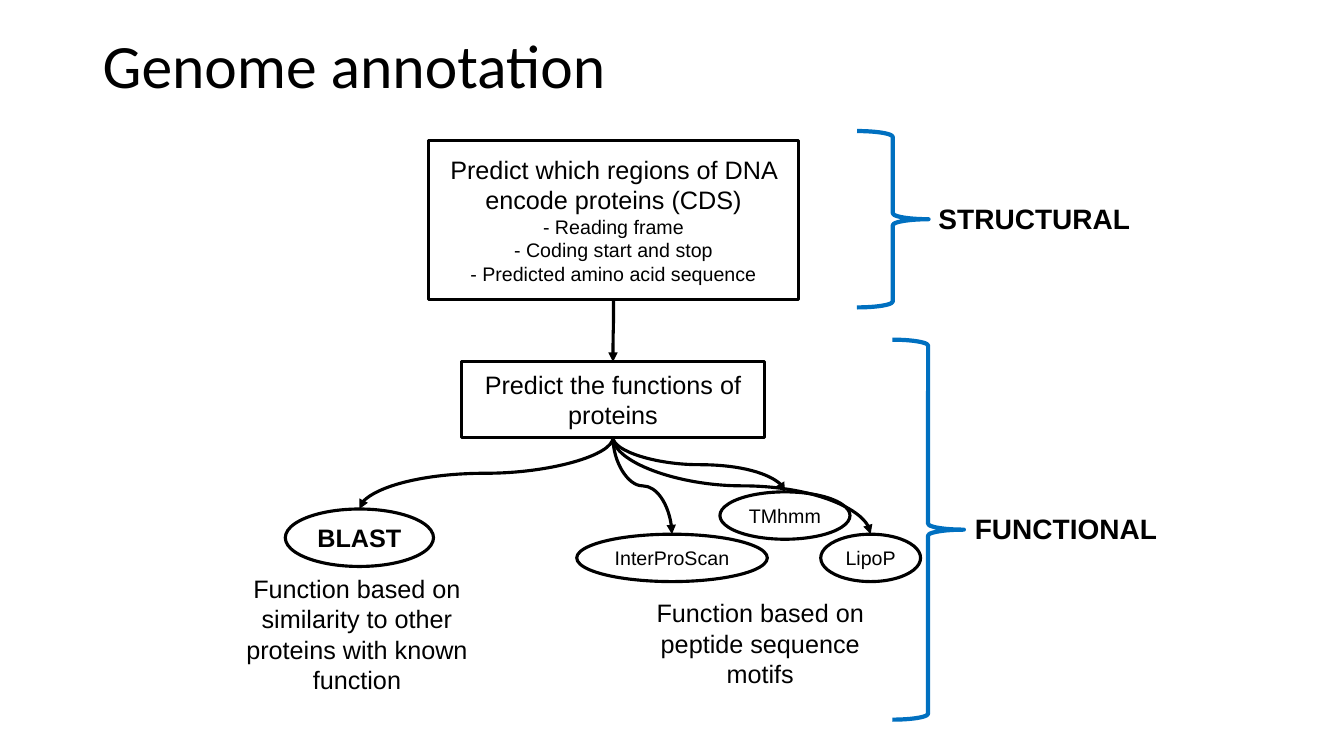
from lxml import etree
from pptx import Presentation
from pptx.dml.color import RGBColor
from pptx.enum.shapes import MSO_CONNECTOR, MSO_SHAPE
from pptx.enum.text import MSO_ANCHOR, PP_ALIGN
from pptx.oxml.ns import qn
from pptx.util import Inches, Pt

RECTANGLE, ELLIPSE, BRACE = MSO_SHAPE.RECTANGLE, MSO_SHAPE.OVAL, MSO_SHAPE.RIGHT_BRACE
CURVE = MSO_CONNECTOR.CURVE
LEFT, CENTER = PP_ALIGN.LEFT, PP_ALIGN.CENTER
TOP, MIDDLE = MSO_ANCHOR.TOP, MSO_ANCHOR.MIDDLE
BLACK, WHITE, BLUE = "000000", "FFFFFF", "0070C0"
BOTTOM_SITE, TOP_SITE = 2, 0


def color(hex_value):
    return RGBColor.from_string(hex_value)


def write(shape, text, size=18, detail_size=14, font="Arial", bold=False,
          align=CENTER, anchor=MIDDLE, wrap=True, spacing=1.0):
    frame = shape.text_frame
    frame.word_wrap = wrap
    frame.vertical_anchor = anchor
    for index, line in enumerate(text.split("\n")):
        paragraph = frame.add_paragraph() if index else frame.paragraphs[0]
        paragraph.alignment = align
        paragraph.line_spacing = spacing
        run = paragraph.add_run()
        run.text = line
        run.font.name = font
        run.font.size = Pt(detail_size if index else size)
        run.font.bold = bold
        run.font.color.rgb = color(BLACK)


presentation = Presentation()
presentation.slide_width = Inches(13.33)
presentation.slide_height = Inches(7.5)
slide = presentation.slides.add_slide(presentation.slide_layouts[6])
shapes = slide.shapes

title = shapes.add_textbox(Inches(0.92), Inches(0.05), Inches(10.25), Inches(1.25))
write(title, "Genome annotation", size=44, font="Calibri", align=LEFT, spacing=0.9)

structural_text = """Predict which regions of DNA encode proteins (CDS)
- Reading frame
- Coding start and stop
- Predicted amino acid sequence"""

nodes = {}
for name, kind, left, top, width, height, text, style in [
    ("regions", RECTANGLE, 4.25, 1.39, 3.67, 1.58, structural_text, {}),
    ("functions", RECTANGLE, 4.58, 3.59, 3, 0.75, "Predict the functions of proteins", {}),
    ("blast", ELLIPSE, 2.83, 5.05, 1.47, 0.57, "BLAST", {"bold": True, "wrap": False}),
    ("interpro", ELLIPSE, 5.72, 5.3, 1.89, 0.47, "InterProScan", {"size": 14, "wrap": False}),
    ("tmhmm", ELLIPSE, 7.14, 4.88, 1.29, 0.47, "TMhmm", {"size": 14, "wrap": False}),
    ("lipop", ELLIPSE, 8.14, 5.3, 0.99, 0.47, "LipoP", {"size": 14, "wrap": False}),
]:
    node = shapes.add_shape(kind, Inches(left), Inches(top), Inches(width), Inches(height))
    node.shadow.inherit = False
    node.fill.solid()
    node.fill.fore_color.rgb = color(WHITE)
    node.line.color.rgb = color(BLACK)
    node.line.width = Pt(2.25)
    write(node, text, **style)
    nodes[name] = node

for source, target in [
    ("regions", "functions"),
    ("functions", "blast"),
    ("functions", "interpro"),
    ("functions", "tmhmm"),
    ("functions", "lipop"),
]:
    arrow = shapes.add_connector(CURVE, 0, 0, 0, 0)
    arrow.begin_connect(nodes[source], BOTTOM_SITE)
    arrow.end_connect(nodes[target], TOP_SITE)
    across = arrow.end_x - arrow.begin_x
    down = arrow.end_y - arrow.begin_y
    center_x = (arrow.begin_x + arrow.end_x) // 2
    center_y = (arrow.begin_y + arrow.end_y) // 2
    arrow.width, arrow.height = down, abs(across)
    arrow.left = center_x - down // 2
    arrow.top = center_y - abs(across) // 2
    transform = arrow._element.spPr.find(qn("a:xfrm"))
    transform.set("rot", str((270 if across > 0 else 90) * 60000))
    transform.set("flipH", "1" if across > 0 else "0")
    arrow.line.color.rgb = color(BLACK)
    arrow.line.width = Pt(2.25)
    line = arrow._element.spPr.find(qn("a:ln"))
    etree.SubElement(line, qn("a:tailEnd"), type="triangle")
    etree.SubElement(arrow._element.spPr, qn("a:effectLst"))

heading = {"size": 20, "bold": True, "align": LEFT, "wrap": False}
for left, top, width, height, text, style in [
    (2.33, 5.64, 2.42, 1.31, "Function based on similarity to other proteins with known function", {}),
    (6.33, 5.88, 2.42, 1.01, "Function based on peptide sequence motifs", {}),
    (9.21, 1.95, 2.13, 0.44, "STRUCTURAL", heading),
    (9.57, 5.03, 2.03, 0.44, "FUNCTIONAL", heading),
]:
    label = shapes.add_textbox(Inches(left), Inches(top), Inches(width), Inches(height))
    write(label, text, anchor=TOP, **style)

for left, top, height in [(8.5, 1.3, 1.75), (8.85, 3.37, 3.77)]:
    brace = shapes.add_shape(BRACE, Inches(left), Inches(top), Inches(0.71), Inches(height))
    brace.shadow.inherit = False
    brace.fill.background()
    brace.line.color.rgb = color(BLUE)
    brace.line.width = Pt(3)

presentation.save("out.pptx")
